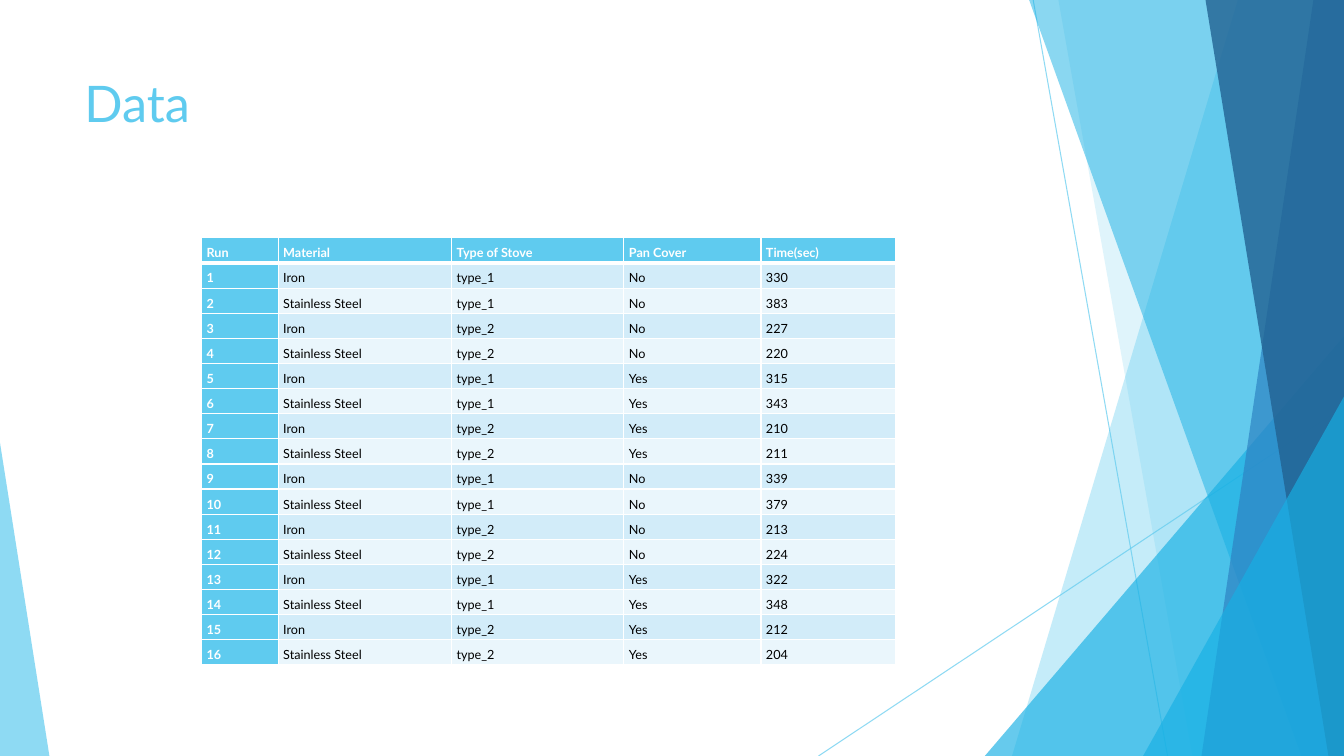
from itertools import product

from lxml.etree import SubElement as Sub
from pptx import Presentation
from pptx.dml.color import RGBColor as RGB
from pptx.enum.shapes import MSO_CONNECTOR as Link, MSO_SHAPE as Kind
from pptx.enum.text import MSO_ANCHOR as Anchor, PP_ALIGN as Align
from pptx.oxml.ns import qn
from pptx.util import Inches, Pt

SKY = RGB(0x5F, 0xCB, 0xEF)
AQUA = RGB(0x17, 0xB0, 0xE4)
BLUE = RGB(0x2E, 0x83, 0xC3)
NAVY = RGB(0x22, 0x62, 0x92)
BAND = RGB(0xD2, 0xEC, 0xF9)
PALE = RGB(0xEA, 0xF6, 0xFC)
WHITE = RGB(0xFF, 0xFF, 0xFF)
BLACK = RGB(0, 0, 0)

COLS, ROWS = 40, 22.5
FONT = "Lato"
HEAD = ["Run", "Material", "Type of Stove", "Pan Cover", "Time(sec)"]
TIMES = [330, 383, 227, 220, 315, 343, 210, 211,
         339, 379, 213, 224, 322, 348, 212, 204]


def unit(count):
    return Inches(count / 3)


class Page:
    """Draws on one slide, with lengths in columns and rows of a 40 by 22.5 grid."""

    def __init__(self, deck):
        self.slide = deck.slides.add_slide(deck.slide_layouts[6])
        self.shapes = self.slide.shapes

    def fade(self, item, alpha):
        color = next(item.element.iter(qn("a:srgbClr")))
        Sub(color, qn("a:alpha"), val=str(alpha * 1000))

    def paint(self, shape, color, alpha):
        shape.shadow.inherit = False
        shape.fill.solid()
        shape.fill.fore_color.rgb = color
        shape.line.fill.background()
        self.fade(shape, alpha)

    def line(self, start, end):
        ends = [unit(v) for v in (*start, *end)]
        line = self.shapes.add_connector(Link.STRAIGHT, *ends)
        line.line.color.rgb = SKY
        line.line.width = Pt(0.75)
        self.fade(line, 70)
        Sub(line.element.spPr, qn("a:effectLst"))

    def blade(self, top, base, color, alpha):
        spots = [(COLS, 0), (COLS, ROWS), (base, ROWS)]
        form = self.shapes.build_freeform(unit(top), 0)
        form.add_line_segments([(unit(x), unit(y)) for x, y in spots])
        self.paint(form.convert_to_shape(), color, alpha)

    def wedge(self, left, top, right, peak, color, alpha):
        box = [unit(v) for v in (left, top, right - left, ROWS - top)]
        shape = self.shapes.add_shape(Kind.ISOSCELES_TRIANGLE, *box)
        shape.adjustments[0] = peak
        self.paint(shape, color, alpha)

    def text(self, para, words, size, color, bold=False):
        run = para.add_run()
        run.text = words
        run.font.name = FONT
        run.font.size = Pt(size)
        run.font.bold = bold
        run.font.color.rgb = color

    def title(self, words, *box):
        frame = self.shapes.add_textbox(*map(unit, box)).text_frame
        frame.word_wrap = True
        frame.vertical_anchor = Anchor.TOP
        self.text(frame.paragraphs[0], words, 36, SKY)

    def edge(self, cell, side, width):
        props = cell._tc.get_or_add_tcPr()
        line = Sub(props, qn("a:ln" + side), w=str(Pt(width)))
        Sub(Sub(line, qn("a:solidFill")), qn("a:srgbClr"), val=str(WHITE))

    def cell(self, cell, words, row, col):
        key = row == 0 or col == 0
        thick = {0: "B", 1: "T"}.get(row)
        for side in "LRTB":
            self.edge(cell, side, 3 if side == thick else 1)
        cell.fill.solid()
        cell.fill.fore_color.rgb = SKY if key else BAND if row % 2 else PALE
        cell.margin_left = cell.margin_right = Inches(0.05)
        cell.margin_top = cell.margin_bottom = 0
        para = cell.text_frame.paragraphs[0]
        para.alignment = Align.JUSTIFY
        para.line_spacing = 1.5
        self.text(para, words, 9, WHITE if key else BLACK, key)

    def table(self, left, top, widths, height, data):
        box = [unit(v) for v in (left, top, sum(widths), height)]
        table = self.shapes.add_table(len(data), len(widths), *box).table
        table.first_col = True
        for col, width in zip(table.columns, widths):
            col.width = unit(width)
        for r, texts in enumerate(data):
            table.rows[r].height = unit(height / len(data))
            for c, words in enumerate(texts):
                self.cell(table.cell(r, c), words, r, c)


def main():
    deck = Presentation()
    deck.slide_width, deck.slide_height = unit(COLS), unit(ROWS)
    page = Page(deck)

    page.line((30.75, 0), (34.75, ROWS))
    page.line((COLS, 12.1), (24.36, ROWS))
    page.blade(36.84, 30.12, SKY, 36)
    page.blade(31.5, 35.49, SKY, 20)
    page.wedge(29.31, 10, COLS, 1, AQUA, 66)
    page.blade(30.63, 38.73, AQUA, 50)
    page.blade(39.09, 35.76, BLUE, 70)
    page.blade(35.88, 39.54, NAVY, 80)
    page.wedge(34.02, 11.8, COLS, 1, AQUA, 66)
    page.wedge(0, 13.18, 1.47, 0, SKY, 70)

    page.title("Data", 2.22, 2, 28.2, 4.32)
    mix = list(product(["No", "Yes"], ["type_1", "type_2"],
                       ["Iron", "Stainless Steel"])) * 2
    runs = [[str(n), metal, stove, cover, str(time)]
            for n, ((cover, stove, metal), time)
            in enumerate(zip(mix, TIMES), 1)]
    page.table(6, 7.08, [2.28, 5.16, 5.13, 4.08, 4], 12.72, [HEAD] + runs)
    deck.save("out.pptx")


if __name__ == "__main__":
    main()
